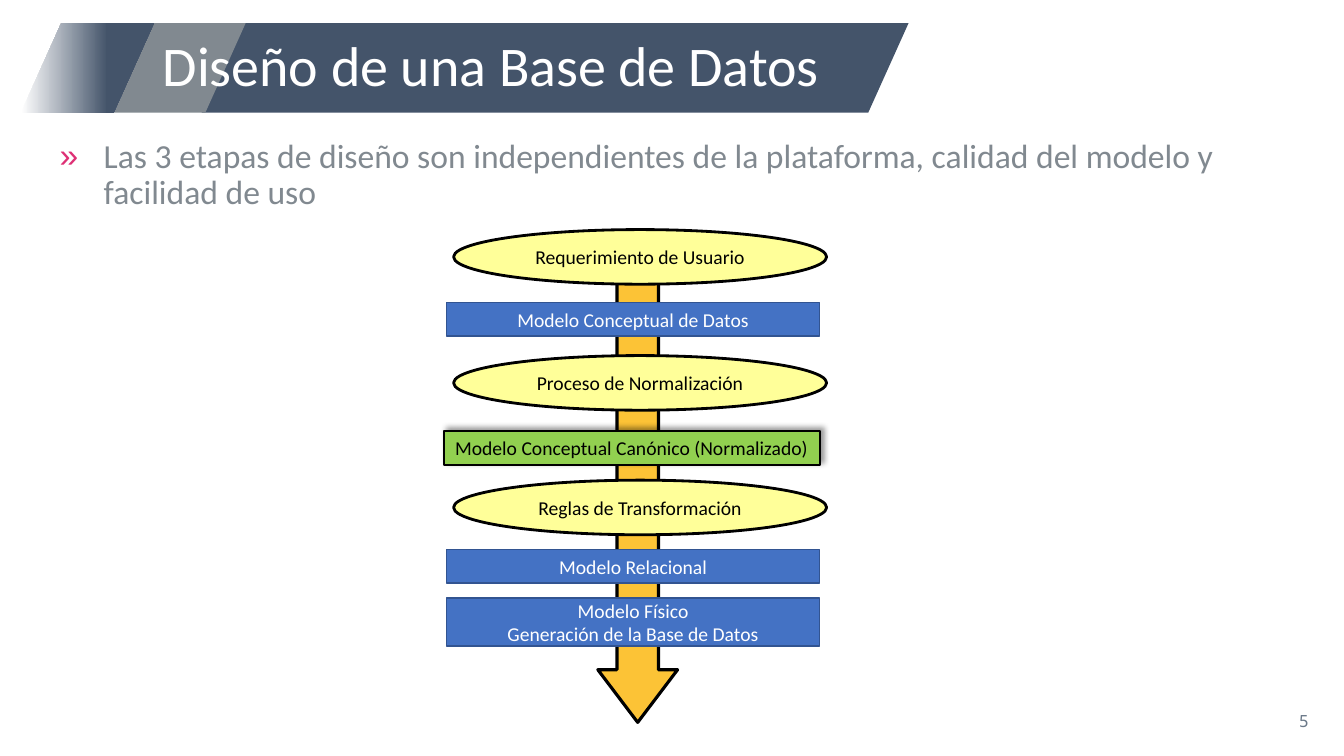
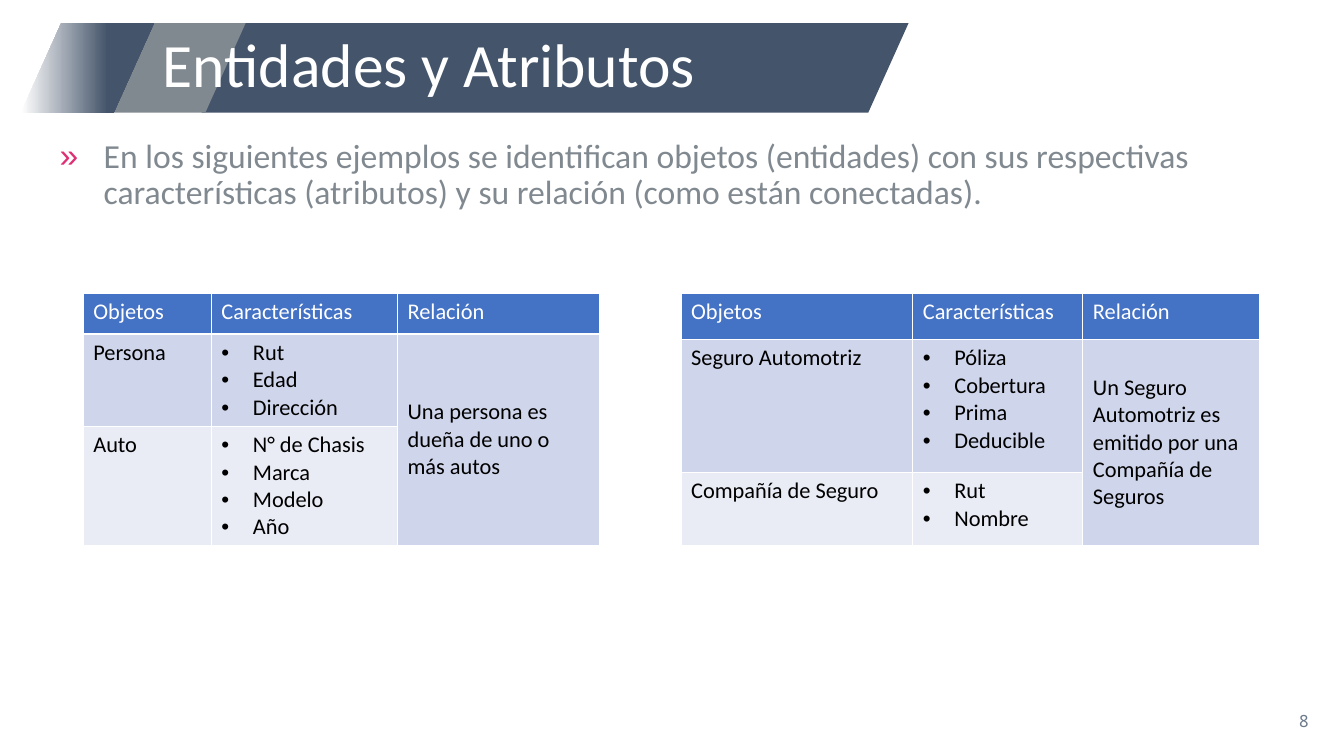
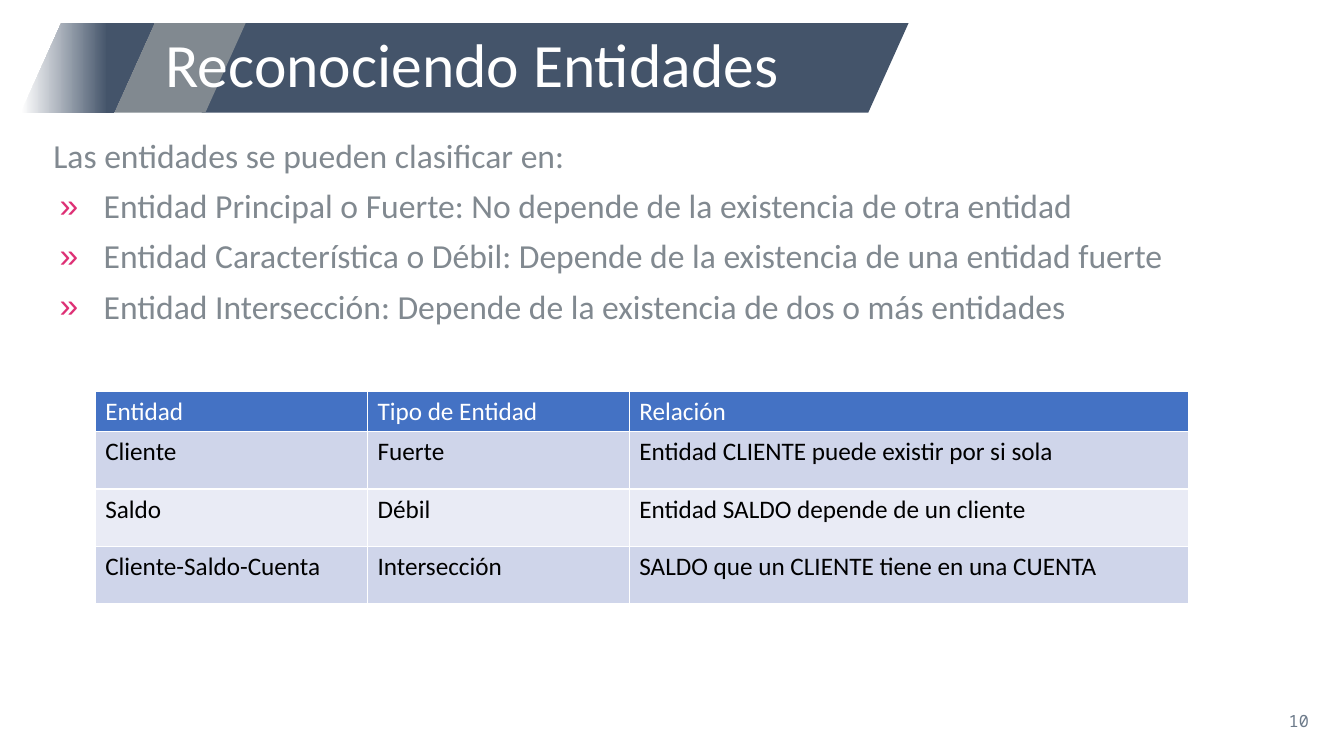
from lxml.etree import SubElement
from pptx import Presentation
from pptx.dml.color import RGBColor
from pptx.enum.shapes import MSO_SHAPE
from pptx.enum.text import MSO_ANCHOR, MSO_AUTO_SIZE, PP_ALIGN
from pptx.oxml.ns import qn
from pptx.util import Pt

NAVY, GRAY, WHITE, BLACK = "44546A", "818990", "FFFFFF", "000000"
BLUE, BLUE_EDGE, YELLOW, GREEN, AMBER = "4472C4", "325491", "FFFF99", "92D050", "FCC336"
PINK, NUMBER_GRAY = "DE3075", "6C7A8A"
ROW_TINTS = ("CFD5EA", "E9EBF5")


def rgb(color):
    return RGBColor.from_string(color)


def points(*lengths):
    return [Pt(length) for length in lengths]


def add_bullet(paragraph, char, hang, indent, color=None):
    properties = paragraph._p.get_or_add_pPr()
    properties.set("marL", str(Pt(indent)))
    properties.set("indent", str(Pt(-hang)))
    if color:
        SubElement(SubElement(properties, qn("a:buClr")), qn("a:srgbClr"), val=color)
    SubElement(properties, qn("a:buFont"), typeface="Arial")
    SubElement(properties, qn("a:buChar"), char=char)


class Deck:
    """Holds the shared style and the slide being filled."""

    font = "Calibri"
    band_top, band_height = 16.5, 64

    def __init__(self):
        self.presentation = Presentation()
        self.presentation.slide_width, self.presentation.slide_height = points(960, 540)

    def add_text(self, paragraph, text, size, color, font=None, **format_values):
        run = paragraph.add_run()
        run.text = text
        run.font.color.rgb = rgb(color)
        values = {"name": font or self.font, "size": Pt(size), "bold": False}
        for name, value in values.items():
            setattr(run.font, name, value)
        for name, value in format_values.items():
            setattr(paragraph, name, value)

    def add_lines(self, frame, lines, size, color, **format_values):
        """Add one paragraph per line and return the paragraphs."""
        paragraphs = []
        for index, line in enumerate(lines):
            paragraph = frame.add_paragraph() if index else frame.paragraphs[0]
            self.add_text(paragraph, line, size, color, **format_values)
            paragraphs.append(paragraph)
        return paragraphs

    def shape(self, preset, box, fill=None, edge=None, edge_width=1, adjustments=()):
        shape = self.slide.shapes.add_shape(preset, *points(*box))
        shape.shadow.inherit = False
        for index, value in enumerate(adjustments):
            shape.adjustments[index] = value
        if fill:
            shape.fill.solid()
            shape.fill.fore_color.rgb = rgb(fill)
        if edge:
            shape.line.color.rgb = rgb(edge)
            shape.line.width = Pt(edge_width)
        else:
            shape.line.fill.background()
        return shape

    def band(self, left, width, fill=None):
        box = (left, self.band_top, width, self.band_height)
        return self.shape(MSO_SHAPE.PARALLELOGRAM, box, fill, adjustments=[0.45])

    def new_slide(self, title, number, title_size=44, title_left=109):
        layout = self.presentation.slide_layouts[5]
        self.slide = self.presentation.slides.add_slide(layout)
        self.band(144, 505, NAVY)
        self.band(80.5, 95, GRAY)
        fade = self.band(15, 95)
        fade.fill.gradient()
        fade.fill.gradient_angle = 0
        for stop, position, color in zip(fade.fill.gradient_stops, (0, 0.65), (WHITE, NAVY)):
            stop.position = position
            stop.color.rgb = rgb(color)
        self.title(title, title_size, title_left, fade)
        self.page_number(number)

    def title(self, text, size, left, behind):
        title = self.slide.shapes.title
        behind.element.addnext(title.element)
        box = points(left, self.band_top, 540, self.band_height)
        for name, value in zip(("left", "top", "width", "height"), box):
            setattr(title, name, value)
        frame = title.text_frame
        frame.auto_size = MSO_AUTO_SIZE.NONE
        frame.vertical_anchor = MSO_ANCHOR.MIDDLE
        self.add_text(frame.paragraphs[0], text, size, WHITE,
                      alignment=PP_ALIGN.LEFT, line_spacing=0.9)

    def text_frame(self, *box):
        frame = self.slide.shapes.add_textbox(*points(*box)).text_frame
        frame.word_wrap = True
        return frame

    def page_number(self, number):
        frame = self.text_frame(726, 500.5, 216, 29)
        frame.vertical_anchor = MSO_ANCHOR.MIDDLE
        self.add_text(frame.paragraphs[0], str(number), 12, NUMBER_GRAY,
                      font="Noto Sans Mono", alignment=PP_ALIGN.RIGHT)

    def body(self, bullets, intro=None):
        frame = self.text_frame(31, 96, 898.5, 404.5)
        lines = [intro, *bullets] if intro else bullets
        paragraphs = self.add_lines(frame, lines, 24, GRAY, line_spacing=0.9)
        for index, paragraph in enumerate(paragraphs):
            if index:
                paragraph.space_before = Pt(10)
            if index or not intro:
                add_bullet(paragraph, "»", 31.5, 36, PINK)

    def stage(self, preset, box, lines, fill, edge, edge_width, color):
        stage = self.shape(preset, box, fill, edge, edge_width)
        frame = stage.text_frame
        frame.word_wrap = False
        frame.vertical_anchor = MSO_ANCHOR.MIDDLE
        self.add_lines(frame, lines, 14, color, alignment=PP_ALIGN.CENTER)
        return stage

    def process(self, top, text):
        self.stage(MSO_SHAPE.OVAL, (324, top, 266.5, 39), [text], YELLOW, BLACK, 2, BLACK)

    def model(self, top, *lines, height=24):
        self.stage(MSO_SHAPE.RECTANGLE, (319, top, 266.5, height), lines,
                   BLUE, BLUE_EDGE, 1, WHITE)

    def canonical_model(self, top, text):
        model = self.stage(MSO_SHAPE.RECTANGLE, (317, top, 268.5, 24), [text],
                           GREEN, BLACK, 1.5, BLACK)
        effects = model.element.spPr.find(qn("a:effectLst"))
        shadow = SubElement(effects, qn("a:outerShdw"), blurRad=str(Pt(4)),
                            dist=str(Pt(3)), dir="18900000", algn="bl", rotWithShape="0")
        color = SubElement(shadow, qn("a:srgbClr"), val=BLACK)
        SubElement(color, qn("a:alpha"), val="40000")

    def table(self, left, top, widths, heights, rows, size, merge_last=False):
        """Fill a table; a list in a cell becomes bullets."""
        table = self.slide.shapes.add_table(
            len(rows), len(widths),
            *points(left, top, sum(widths), sum(heights))).table
        for column, width in zip(table.columns, widths):
            column.width = Pt(width)
        for row, height in zip(table.rows, heights):
            row.height = Pt(height)
        for row_index, row in enumerate(rows):
            fill = ROW_TINTS[(row_index - 1) % 2] if row_index else BLUE
            color = BLACK if row_index else WHITE
            for column_index, content in enumerate(row):
                cell = table.cell(row_index, column_index)
                cell.fill.solid()
                cell.fill.fore_color.rgb = rgb(fill)
                bulleted = isinstance(content, list)
                lines = content if bulleted else [content]
                for paragraph in self.add_lines(cell.text_frame, lines, size, color):
                    if bulleted:
                        add_bullet(paragraph, "•", 22.5, 22.5)
        if merge_last:
            last = len(widths) - 1
            relation = table.cell(1, last)
            relation.merge(table.cell(len(rows) - 1, last))
            relation.vertical_anchor = MSO_ANCHOR.MIDDLE


def design_slide(deck):
    deck.new_slide("Diseño de una Base de Datos", 5, title_size=40)
    deck.body(["Las 3 etapas de diseño son independientes de la plataforma, "
               "calidad del modelo y facilidad de uso"])
    deck.shape(MSO_SHAPE.DOWN_ARROW, (427, 169, 57, 347), AMBER, BLACK, 2.25, (0.52, 0.66))
    deck.process(164, "Requerimiento de Usuario")
    deck.model(216, "Modelo Conceptual de Datos")
    deck.process(254, "Proceso de Normalización")
    deck.canonical_model(308, "Modelo Conceptual Canónico (Normalizado)")
    deck.process(343, "Reglas de Transformación")
    deck.model(392.5, "Modelo Relacional")
    deck.model(427, "Modelo Físico", "Generación de la Base de Datos", height=34.5)


def attributes_slide(deck):
    deck.new_slide("Entidades y Atributos", 8)
    deck.body(["En los siguientes ejemplos se identifican objetos (entidades) con sus "
               "respectivas características (atributos) y su relación "
               "(como están conectadas)."])
    header = ("Objetos", "Características", "Relación")
    deck.table(59.5, 209.5, (91.5, 133, 144), (29, 66, 85), [
        header,
        ("Persona", ["Rut", "Edad", "Dirección"], "Una persona es dueña de uno o más autos"),
        ("Auto", ["N° de Chasis", "Marca", "Modelo", "Año"]),
    ], 16, merge_last=True)
    deck.table(486.5, 209.5, (165.5, 121.5, 126.5), (33, 95, 52), [
        header,
        ("Seguro Automotriz", ["Póliza", "Cobertura", "Prima", "Deducible"],
         "Un Seguro Automotriz es emitido por una Compañía de Seguros"),
        ("Compañía de Seguro", ["Rut", "Nombre"]),
    ], 16, merge_last=True)


def recognition_slide(deck):
    deck.new_slide("Reconociendo Entidades", 10, title_left=111)
    deck.body([
        "Entidad Principal o Fuerte: No depende de la existencia de otra entidad",
        "Entidad Característica o Débil: Depende de la existencia de una entidad fuerte",
        "Entidad Intersección: Depende de la existencia de dos o más entidades",
    ], intro="Las entidades se pueden clasificar en:")
    deck.table(68, 279.5, (194.5, 187, 399.5), (28, 41, 41, 41), [
        ("Entidad", "Tipo de Entidad", "Relación"),
        ("Cliente", "Fuerte", "Entidad CLIENTE puede existir por si sola"),
        ("Saldo", "Débil", "Entidad SALDO depende de un cliente"),
        ("Cliente-Saldo-Cuenta", "Intersección", "SALDO que un CLIENTE tiene en una CUENTA"),
    ], 18)


def main():
    deck = Deck()
    design_slide(deck)
    attributes_slide(deck)
    recognition_slide(deck)
    deck.presentation.save("out.pptx")


if __name__ == "__main__":
    main()
